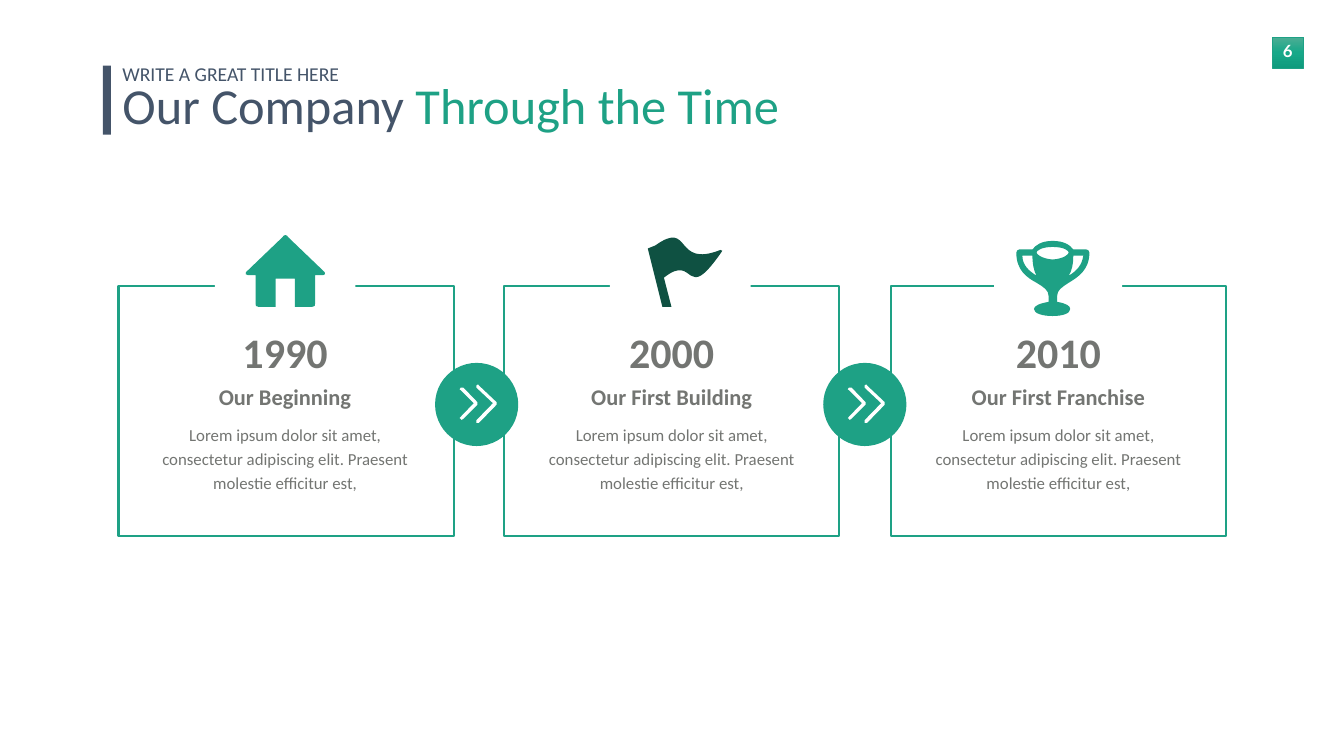
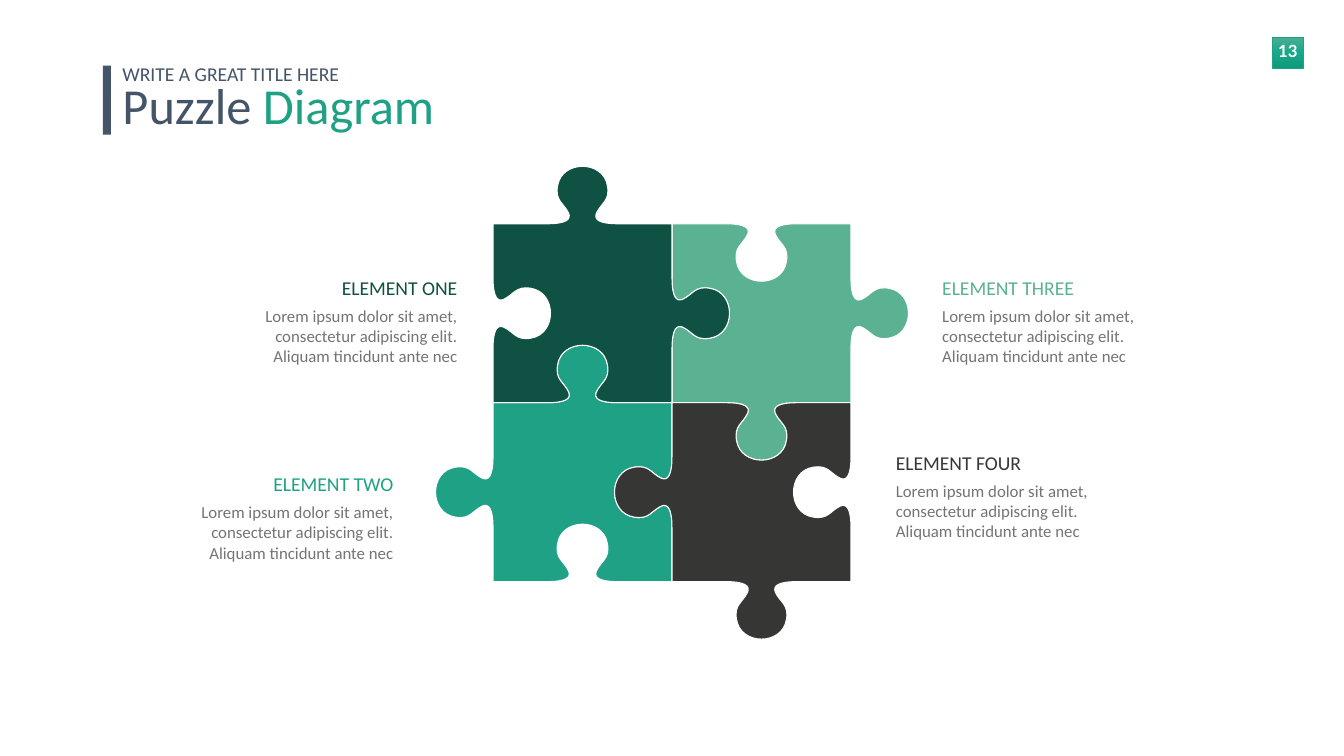
from copy import deepcopy

from pptx import Presentation
from pptx.dml.color import RGBColor
from pptx.enum.shapes import MSO_SHAPE
from pptx.enum.text import MSO_ANCHOR, MSO_AUTO_SIZE, PP_ALIGN
from pptx.oxml.ns import qn
from pptx.util import Inches, Pt

# ---------- Shared style ----------
COLOURS = {
    "slate": "445469", "green": "1EA185", "dark": "0F5142", "light": "5BB292",
    "charcoal": "363735", "grey": "737572", "white": "FFFFFF",
}
BADGE_STOPS = [(0, "4EAD94"), (0.5, "17A889"), (1, "0F9B7D")]
FONT = "Calibri"
SLIDE_WIDTH, SLIDE_HEIGHT = 26.66, 15
TIGHT, ROOMY = (0.1, 0.05), (0.2, 0.1)
KICKER = "WRITE A GREAT TITLE HERE"

# ---------- Outlines: contours of points (x, y) and cubic curves (6 numbers) ----------
HOUSE = [[
    (1.59, 0.75), (0.87, 0.06), (0.84, 0, 0.78, 0, 0.75, 0.06), (0.03, 0.75),
    (0, 0.78, 0.03, 0.81, 0.07, 0.81), (0.22, 0.81), (0.22, 1.37),
    (0.22, 1.41, 0.22, 1.44, 0.28, 1.44), (0.62, 1.44), (0.62, 0.88), (1, 0.88),
    (1, 1.44), (1.34, 1.44), (1.4, 1.44, 1.4, 1.41, 1.4, 1.37), (1.4, 0.81),
    (1.56, 0.81), (1.59, 0.81, 1.62, 0.78, 1.59, 0.75),
]]
FLAG = [[
    (1.44, 0.61), (0.5, 0.98, 0.88, 0, 0.15, 0.52), (0, 0.58), (0.29, 1.74),
    (0.47, 1.74), (0.32, 1.16), (0.97, 0.64, 0.71, 1.74, 1.47, 0.64),
    (1.5, 0.64, 1.47, 0.61, 1.44, 0.61),
]]
TROPHY = [
    [(0.81, 1.09), (0.81, 0.98, 0.9, 0.92, 1.04, 0.83),
     (1.22, 0.72, 1.45, 0.58, 1.45, 0.23), (1.45, 0.2, 1.42, 0.17, 1.39, 0.17),
     (1.13, 0.17), (1.07, 0.09, 0.96, 0, 0.72, 0), (0.49, 0, 0.38, 0.09, 0.32, 0.17),
     (0.06, 0.17), (0.03, 0.17, 0, 0.2, 0, 0.23), (0, 0.58, 0.2, 0.72, 0.4, 0.83),
     (0.55, 0.92, 0.64, 0.98, 0.64, 1.09), (0.64, 1.21),
     (0.46, 1.24, 0.35, 1.29, 0.35, 1.35), (0.35, 1.44, 0.52, 1.49, 0.72, 1.49),
     (0.92, 1.49, 1.07, 1.44, 1.07, 1.35), (1.07, 1.29, 0.99, 1.24, 0.81, 1.21)],
    [(1.04, 0.69), (1.1, 0.6, 1.13, 0.46, 1.13, 0.29), (1.33, 0.29),
     (1.3, 0.49, 1.19, 0.6, 1.04, 0.69)],
    [(0.72, 0.12), (0.96, 0.12, 1.04, 0.2, 1.04, 0.23),
     (1.04, 0.26, 0.96, 0.35, 0.72, 0.37), (0.49, 0.35, 0.4, 0.26, 0.4, 0.23),
     (0.4, 0.2, 0.49, 0.12, 0.72, 0.12)],
    [(0.12, 0.29), (0.32, 0.29), (0.32, 0.46, 0.35, 0.6, 0.4, 0.69),
     (0.26, 0.6, 0.12, 0.49, 0.12, 0.29)],
]
CHEVRONS = [
    [(0.74, 0.36), (0.39, 0.03), (0.39, 0, 0.36, 0, 0.34, 0.03),
     (0.34, 0.03, 0.34, 0.05, 0.34, 0.07), (0.67, 0.38), (0.34, 0.72),
     (0.34, 0.74, 0.34, 0.74, 0.34, 0.77), (0.36, 0.77, 0.39, 0.77, 0.39, 0.77),
     (0.74, 0.41)],
    [(0.36, 0.36), (0.08, 0.07), (0.05, 0.07, 0.03, 0.07, 0.03, 0.07),
     (0, 0.1, 0, 0.12, 0.03, 0.12), (0.29, 0.38), (0.03, 0.65),
     (0, 0.67, 0, 0.69, 0.03, 0.69), (0.03, 0.72, 0.05, 0.72, 0.08, 0.69),
     (0.36, 0.41)],
]
# One puzzle edge: distance along the side, height of the knob
EDGE = [
    (0, 0), (1.07, 0), (1.46, 0, 1.55, 0.09, 1.5, 0.21),
    (1.4, 0.42, 1.23, 0.45, 1.28, 0.75), (1.36, 1.27, 2.19, 1.27, 2.27, 0.75),
    (2.32, 0.45, 2.15, 0.42, 2.05, 0.21), (2, 0.09, 2.09, 0, 2.48, 0),
]

# ---------- Timeline content ----------
TIMELINE_TITLE = [("Our Company ", "slate"), ("Through the Time", "green")]
STORY = ("Lorem ipsum dolor sit amet, consectetur adipiscing elit. "
         "Praesent molestie efficitur est,")
# year, heading, card left, icon, colour, icon corner, gap in frame (left, top, width)
MILESTONES = [
    ("1990", "Our Beginning", 2.35, HOUSE, "green", (4.85, 4.65), (4.26, 4.45, 2.79)),
    ("2000", "Our First Building", 9.99, FLAG, "dark", (12.85, 4.35),
     (12.1, 4.45, 2.79)),
    ("2010", "Our First Franchise", 17.67, TROPHY, "green", (20.16, 4.78),
     (19.72, 4.37, 2.54)),
]
CARD_TOP, CARD_WIDTH, CARD_HEIGHT = 5.67, 6.65, 4.97
TEXT_LEFT, TEXT_PITCH, TEXT_WIDTH = 3.09, 7.67, 5.13
CIRCLE_LEFTS, CIRCLE_TOP, CIRCLE = (8.63, 16.33), 7.2, 1.65

# ---------- Puzzle content ----------
PUZZLE_TITLE = [("Puzzle ", "slate"), ("Diagram", "green")]
DETAIL = ("Lorem ipsum dolor sit amet, consectetur adipiscing elit. "
          "Aliquam tincidunt ante nec")
PUZZLE_LEFT, PUZZLE_TOP, PIECE = 9.78, 4.44, 3.55
# column, row, colour, edges from the top clockwise (1 knob, -1 notch)
PIECES = [
    (1, 0, "light", (-1, 1, 1, -1)),
    (0, 1, "green", (1, -1, -1, 1)),
    (0, 0, "dark", (1, 1, -1, -1)),
    (1, 1, "charcoal", (-1, -1, 1, 1)),
]
# heading, colour, alignment, outer edge, top, heading width, detail width
ELEMENTS = [
    ("ELEMENT ONE", "dark", PP_ALIGN.RIGHT, 9.27, 5.37, 6.93, 4.52),
    ("ELEMENT TWO", "green", PP_ALIGN.RIGHT, 8, 9.27, 6.4, 4.9),
    ("ELEMENT THREE", "light", PP_ALIGN.LEFT, 18.49, 5.37, 6.93, 5.12),
    ("ELEMENT FOUR", "charcoal", PP_ALIGN.LEFT, 17.57, 8.84, 6.93, 5.12),
]


def colour(name):
    """Return the named colour."""
    return RGBColor.from_string(COLOURS[name])


def paint(shape, fill=None, line=None, width=1):
    """Set fill and line of a shape and take away its shadow."""
    shape.shadow.inherit = False
    if fill:
        shape.fill.solid()
        shape.fill.fore_color.rgb = colour(fill)
    else:
        shape.fill.background()
    if line:
        shape.line.color.rgb = colour(line)
        shape.line.width = Pt(width)
    else:
        shape.line.fill.background()


def add_box(shapes, box, kind=MSO_SHAPE.RECTANGLE, **style):
    """Add a painted preset shape at (left, top, width, height)."""
    shape = shapes.add_shape(kind, *map(Inches, box))
    paint(shape, **style)
    return shape


def write(shape, runs, size, align=PP_ALIGN.LEFT, bold=False, spacing=None,
          inset=TIGHT, font=FONT, wrap=True, grow=True):
    """Write one paragraph of (text, colour) runs into a shape."""
    frame = shape.text_frame
    frame.auto_size = MSO_AUTO_SIZE.SHAPE_TO_FIT_TEXT if grow else MSO_AUTO_SIZE.NONE
    frame.word_wrap = wrap
    frame.vertical_anchor = MSO_ANCHOR.TOP
    frame.margin_left = frame.margin_right = Inches(inset[0])
    frame.margin_top = frame.margin_bottom = Inches(inset[1])
    paragraph = frame.paragraphs[0]
    paragraph.alignment = align
    if spacing:
        paragraph.line_spacing = spacing
    for text, name in runs:
        run = paragraph.add_run()
        run.text = text
        run.font.name, run.font.size, run.font.bold = font, Pt(size), bold
        run.font.color.rgb = colour(name)


def add_text(slide, box, text, name, size, **style):
    """Add a text box holding a single run."""
    write(slide.shapes.add_textbox(*map(Inches, box)), [(text, name)], size, **style)


def pairs(part):
    """Split a point or a curve into its (x, y) pairs."""
    return list(zip(part[::2], part[1::2]))


def add_outline(shapes, contours, corner, **style):
    """Draw closed contours, moved to a corner, as one freeform with true curves."""
    builder = None
    for contour in contours:
        start, *points = [(Inches(corner[0] + x), Inches(corner[1] + y))
                          for part in contour for x, y in pairs(part)]
        if builder is None:
            builder = shapes.build_freeform(*start)
        else:
            builder.move_to(*start)
        builder.add_line_segments(points, close=True)
    shape = builder.convert_to_shape()
    segments = iter(list(shape._element.iter(qn("a:lnTo"))))
    for contour in contours:
        for part in contour[1:]:
            segment = next(segments)
            if len(part) == 6:
                segment.tag = qn("a:cubicBezTo")
                for follower in (next(segments), next(segments)):
                    segment.append(follower[0])
                    follower.getparent().remove(follower)
    paint(shape, **style)


def add_badge(slide, number):
    """Add the page number on its gradient square."""
    badge = add_box(slide.shapes, (25.24, 0.73, 0.62, 0.62), line="green", width=0.5)
    badge.fill.gradient()
    badge.fill.gradient_angle = 270
    first = badge._element.spPr.find(".//" + qn("a:gs"))
    first.addnext(deepcopy(first))
    for stop, (position, value) in zip(badge.fill.gradient_stops, BADGE_STOPS):
        stop.position = position
        stop.color.rgb = RGBColor.from_string(value)
    add_text(slide, (25.14, 0.7, 0.81, 0.61), number, "white", 24, bold=True,
             align=PP_ALIGN.CENTER, inset=ROOMY, font="Lato", wrap=False)


def start_slide(presentation, number, title_runs):
    """Add a slide with page badge, title, kicker and side bar."""
    slide = presentation.slides.add_slide(presentation.slide_layouts[5])
    add_badge(slide, number)
    title = slide.shapes.title
    title.left, title.top, title.width, title.height = map(
        Inches, (2.33, 1.65, 15.34, 1.11))
    write(title, title_runs, 72, spacing=0.8)
    add_text(slide, (2.33, 1.18, 9.58, 0.57), KICKER, "slate", 28)
    add_box(slide.shapes, (2.04, 1.3, 0.16, 1.37), fill="slate")
    return slide


def build_timeline(presentation):
    """Build the slide with three framed milestones."""
    slide = start_slide(presentation, "6", TIMELINE_TITLE)
    for _, _, left, *_ in MILESTONES:
        add_box(slide.shapes, (left, CARD_TOP, CARD_WIDTH, CARD_HEIGHT),
                line="green", width=3)
    for left in CIRCLE_LEFTS:
        group = slide.shapes.add_group_shape()
        add_box(group.shapes, (left, CIRCLE_TOP, CIRCLE, CIRCLE), MSO_SHAPE.OVAL,
                fill="green")
        add_outline(group.shapes, CHEVRONS, (left + 0.48, CIRCLE_TOP + 0.42),
                    fill="white")
    for index, (year, heading, _, icon, name, corner, gap) in enumerate(MILESTONES):
        text_left = TEXT_LEFT + index * TEXT_PITCH
        for top, height, text, size, style in (
                (7.55, 0.64, heading, 32, {"bold": True}),
                (8.29, 1.66, STORY, 24, {"spacing": 1.2, "grow": False}),
                (6.43, 1.11, year, 60, {"bold": True})):
            add_text(slide, (text_left, top, TEXT_WIDTH, height), text, "grey",
                     size, align=PP_ALIGN.CENTER, **style)
        add_box(slide.shapes, (*gap, 1.98), fill="white")
        add_outline(slide.shapes, icon, corner, fill=name)


def piece_outline(edges):
    """Return the contour of a puzzle piece, turning the edge around its sides."""
    contour = []
    for side, sign in enumerate(edges):
        for part in EDGE:
            turned = []
            for x, height in pairs(part):
                y = -sign * height
                for _ in range(side):
                    x, y = PIECE - y, x
                turned += [x, y]
            contour.append(turned)
    return contour


def build_puzzle(presentation):
    """Build the slide with four linked puzzle pieces."""
    slide = start_slide(presentation, "13", PUZZLE_TITLE)
    for column, row, name, edges in PIECES:
        corner = (PUZZLE_LEFT + column * PIECE, PUZZLE_TOP + row * PIECE)
        add_outline(slide.shapes, [piece_outline(edges)], corner,
                    fill=name, line="white", width=1.5)
    for heading, name, align, edge, top, heading_width, detail_width in ELEMENTS:
        for text, tint, size, width, offset, height in (
                (heading, name, 28, heading_width, 0, 0.67),
                (DETAIL, "grey", 24, detail_width, 0.59, 1.41)):
            left = edge - width if align == PP_ALIGN.RIGHT else edge
            add_text(slide, (left, top + offset, width, height), text, tint, size,
                     align=align, inset=ROOMY)


presentation = Presentation()
presentation.slide_width = Inches(SLIDE_WIDTH)
presentation.slide_height = Inches(SLIDE_HEIGHT)
build_timeline(presentation)
build_puzzle(presentation)
presentation.save("out.pptx")
